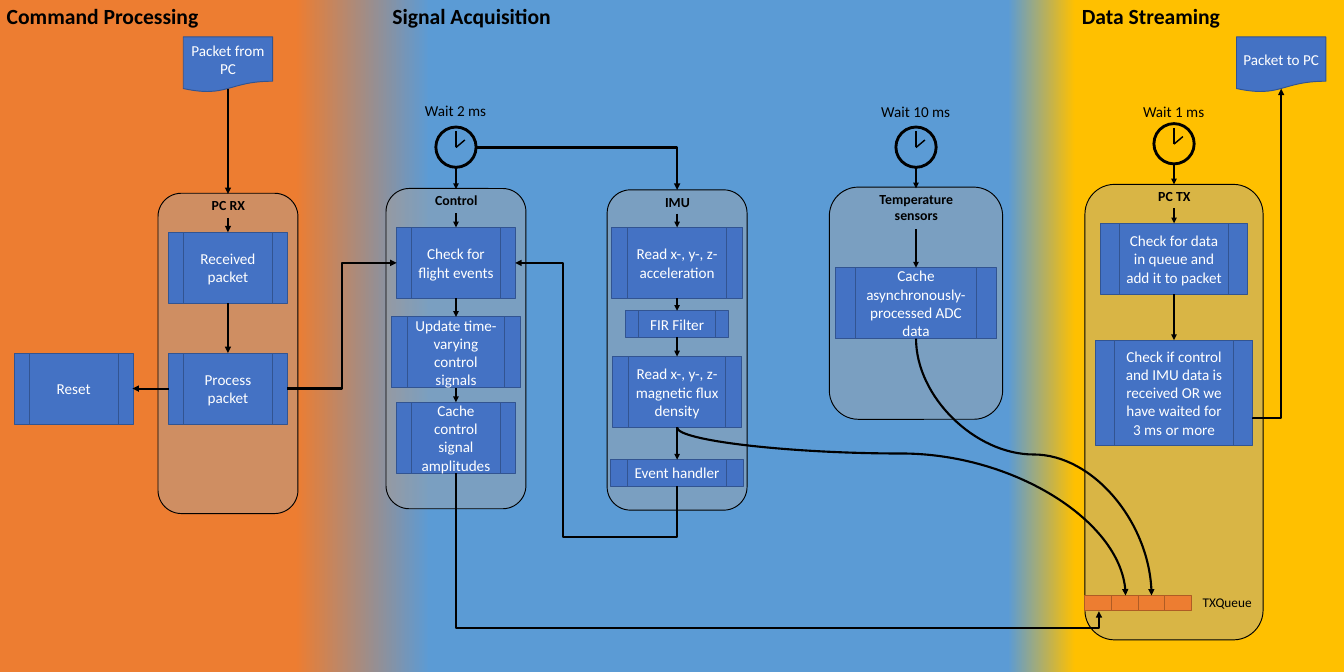
from pptx import Presentation
from pptx.dml.color import RGBColor
from pptx.enum.shapes import MSO_CONNECTOR as LINK, MSO_SHAPE as SHAPE
from pptx.enum.text import MSO_ANCHOR, MSO_AUTO_SIZE, PP_ALIGN
from pptx.oxml.ns import qn
from pptx.util import Inches, Pt
from lxml.etree import SubElement

BLACK = RGBColor(0, 0, 0)
WHITE = RGBColor(0xFF, 0xFF, 0xFF)
GREY = RGBColor(0xA6, 0xA6, 0xA6)
ORANGE = RGBColor(0xED, 0x7D, 0x31)
DARK_ORANGE = RGBColor(0xAF, 0x5C, 0x24)
SKY = RGBColor(0x5B, 0x9B, 0xD5)
GOLD = RGBColor(0xFF, 0xC0, 0x00)
BLUE = RGBColor(0x44, 0x72, 0xC4)
DARK_BLUE = RGBColor(0x32, 0x54, 0x91)

# Text formats
HEADING = {"size": Pt(22.8), "bold": True}
LANE_TITLE = {"size": Pt(14.6), "bold": True}
BODY = {"size": Pt(16), "bold": False}
SMALL = {"size": Pt(14), "bold": False}

# Columns: centre lines of the lanes and outer blocks, in inches
RESET, RX, CONTROL, IMU, TEMP, TX, TO_PC = 1.08, 3.34, 6.68, 9.92, 13.42, 17.2, 18.77

BANDS = [(0, ORANGE), (22, ORANGE), (32, SKY), (75, SKY), (80, GOLD), (100, GOLD)]
HEADINGS = [(0, 3.18, "Command Processing"), (5.65, 2.63, "Signal Acquisition"),
            (15.75, 3.18, "Data Streaming")]
# Centre, top, width, height, title
LANES = [(RX, 2.83, 2.05, 4.69, "PC RX"), (CONTROL, 2.76, 2.05, 4.69, "Control"),
         (IMU, 2.78, 2.05, 4.69, "IMU"), (TEMP, 2.74, 2.54, 3.4, "Temperature\nsensors"),
         (TX, 2.7, 2.61, 6.67, "PC TX")]
# Centre, top, width, height, step
STEPS = [(RX, 3.4, 1.74, 1.04, "Received packet"),
         (RX, 5.17, 1.74, 1.04, "Process packet"),
         (RESET, 5.17, 1.74, 1.04, "Reset"),
         (CONTROL, 3.33, 1.74, 1.04, "Check for flight events"),
         (CONTROL, 4.64, 1.9, 1.04, "Update time-varying control signals"),
         (CONTROL, 5.89, 1.74, 1.04, "Cache control signal amplitudes"),
         (IMU, 3.33, 1.93, 1.04, "Read x-, y-, z-acceleration"),
         (IMU, 4.55, 1.5, 0.39, "FIR Filter"),
         (IMU, 5.22, 1.9, 1.04, "Read x-, y-, z-magnetic flux density"),
         (IMU, 6.73, 1.94, 0.39, "Event handler"),
         (TEMP, 3.92, 2.36, 1.04, "Cache asynchronously-processed ADC data"),
         (TX, 3.27, 2.14, 1.04, "Check for data in queue and add it to packet"),
         (TX, 4.98, 2.31, 1.54,
          "Check if control and IMU data is received OR we have waited for 3 ms or more")]
PACKETS = [(RX, "Packet from PC"), (TO_PC, "Packet to PC")]
# Centre, top of the clock, top of the label, label
TIMERS = [(CONTROL, 1.86, 1.43, "Wait 2 ms"), (TEMP, 1.86, 1.45, "Wait 10 ms"),
          (TX, 1.81, 1.45, "Wait 1 ms")]
# Centre, line weight, (start, end) of each downward arrow
FLOWS = [(RX, 2.25, [(1.3, 2.84), (3.19, 3.4), (4.44, 5.17)]),
         (CONTROL, 2, [(2.46, 2.77), (3.12, 3.33), (4.37, 4.64), (5.68, 5.89)]),
         (IMU, 2, [(3.13, 3.33), (4.37, 4.55), (4.94, 5.22), (6.26, 6.73)]),
         (TEMP, 2, [(2.46, 2.76), (3.36, 3.92)]),
         (TX, 2, [(2.4, 2.7), (3.05, 3.27), (4.31, 4.98)])]
# Start, end, preset, rotation, flips, adjustments
ROUTES = [((6.97, 2.16), (IMU, 2.78), "bentConnector2", 0, "", []),
          ((4.21, 5.69), (5.81, 3.85), "bentConnector3", 0, "V", [50000]),
          ((IMU, 7.12), (7.55, 3.85), "bentConnector4", 90, "H", [-22900, 70300]),
          ((CONTROL, 6.93), (16.1, 8.95), "bentConnector3", 270, "H", [112400]),
          ((18.36, 6.13), (TO_PC, 1.3), "bentConnector3", 90, "HV", [200]),
          ((TEMP, 4.96), (16.87, 8.72), "curvedConnector3", 270, "H", [45100]),
          ((IMU, 6.26), (16.49, 8.72), "curvedConnector3", 270, "H", [15500])]


def write(frame, text, look, color, align):
    frame.text = text
    for paragraph in frame.paragraphs:
        paragraph.alignment = align
        font = paragraph.runs[0].font
        for key, value in {"name": "Calibri", **look}.items():
            setattr(font, key, value)
        font.color.rgb = color


def label(shapes, left, top, width, height, text, look, align=PP_ALIGN.CENTER, wrap=True):
    box = shapes.add_textbox(*map(Inches, (left, top, width, height)))
    box.text_frame.word_wrap = wrap
    box.text_frame.auto_size = MSO_AUTO_SIZE.SHAPE_TO_FIT_TEXT
    write(box.text_frame, text, look, BLACK, align)


def block(shapes, kind, center, top, width, height, fill, edge, weight=1, text=None):
    shape = shapes.add_shape(kind, *map(Inches, (center - width / 2, top, width, height)))
    shape.shadow.inherit = False
    if fill is None:
        shape.fill.background()
    else:
        shape.fill.solid()
        shape.fill.fore_color.rgb = fill
    shape.line.color.rgb = edge
    shape.line.width = Pt(weight)
    if text:
        shape.text_frame.word_wrap = True
        shape.text_frame.vertical_anchor = MSO_ANCHOR.MIDDLE
        write(shape.text_frame, text, BODY, WHITE, PP_ALIGN.CENTER)
    return shape


def line(shapes, start, end, weight, arrow=True, kind=LINK.STRAIGHT):
    link = shapes.add_connector(kind, *map(Inches, (*start, *end)))
    link.line.color.rgb = BLACK
    link.line.width = Pt(weight)
    properties = link._element.spPr
    if arrow:
        SubElement(properties.find(qn("a:ln")), qn("a:tailEnd"), type="triangle")
    SubElement(properties, qn("a:effectLst"))
    return link


def route(shapes, start, end, preset, turn, flips, adjustments):
    link = line(shapes, start, end, 2.25, kind=LINK.ELBOW)
    width, height = (abs(b - a) for a, b in zip(start, end))
    if turn:  # a quarter turn swaps the sides around the same centre
        width, height = height, width
    middle_x, middle_y = ((a + b) / 2 for a, b in zip(start, end))
    frame = {"left": middle_x - width / 2, "top": middle_y - height / 2,
             "width": width, "height": height}
    for key, value in frame.items():
        setattr(link, key, Inches(value))
    transform = link._element.spPr.find(qn("a:xfrm"))
    transform.set("rot", str(turn * 60000))
    for axis in "HV":
        transform.set("flip" + axis, str(int(axis in flips)))
    geometry = link._element.spPr.find(qn("a:prstGeom"))
    geometry.set("prst", preset)
    guides = geometry.find(qn("a:avLst"))
    for number, value in enumerate(adjustments, 1):
        SubElement(guides, qn("a:gd"), name=f"adj{number}", fmla=f"val {value}")


def lane(shapes, center, top, width, height, title):
    panel = block(shapes, SHAPE.ROUNDED_RECTANGLE, center, top, width, height, GREY, BLACK)
    tint = panel._element.spPr.find(qn("a:solidFill")).find(qn("a:srgbClr"))
    SubElement(tint, qn("a:alpha"), val="42000")
    label(shapes, center - 0.7, top, 1.41, 0.35, title, LANE_TITLE)


def timer(shapes, center, top, label_top, text):
    clock = shapes.add_group_shape().shapes
    block(clock, SHAPE.OVAL, center, top, 0.59, 0.59, None, BLACK, 3)
    hub = (center, top + 0.3)
    for tip in ((center, top + 0.06), (center + 0.13, top + 0.19)):
        line(clock, hub, tip, 1.5, arrow=False)
    label(shapes, center - 0.7, label_top, 1.39, 0.37, text, BODY)


def paint_background(slide):
    fill = slide.background.fill
    fill.gradient()
    fill.gradient_angle = 0
    stops = next(slide._element.iter(qn("a:gsLst")))
    for stop in list(stops):
        stops.remove(stop)
    for share, color in BANDS:
        stop = SubElement(stops, qn("a:gs"), pos=str(share * 1000))
        SubElement(stop, qn("a:srgbClr"), val=str(color))


def main():
    deck = Presentation()
    deck.slide_width, deck.slide_height = Inches(19.69), Inches(9.84)
    slide = deck.slides.add_slide(deck.slide_layouts[6])
    shapes = slide.shapes
    paint_background(slide)

    # Section headings and lanes
    for left, width, text in HEADINGS:
        label(shapes, left, 0, width, 0.48, text, HEADING, PP_ALIGN.LEFT)
    for entry in LANES:
        lane(shapes, *entry)

    # Timers, packets and steps
    for entry in TIMERS:
        timer(shapes, *entry)
    for center, text in PACKETS:
        block(shapes, SHAPE.FLOWCHART_DOCUMENT, center, 0.54, 1.31, 0.81,
              BLUE, DARK_BLUE, text=text)
    for *place, text in STEPS:
        block(shapes, SHAPE.FLOWCHART_PREDEFINED_PROCESS, *place, BLUE, DARK_BLUE, text=text)

    # Transmit queue
    for cell in range(4):
        block(shapes, SHAPE.RECTANGLE, 16.09 + 0.39 * cell, 8.72, 0.39, 0.22,
              ORANGE, DARK_ORANGE)
    label(shapes, 17.52, 8.65, 0.93, 0.34, "TXQueue", SMALL, PP_ALIGN.LEFT, wrap=False)

    # Arrows
    for center, weight, spans in FLOWS:
        for top, bottom in spans:
            line(shapes, (center, top), (center, bottom), weight)
    line(shapes, (2.47, 5.69), (1.94, 5.69), 2.25)
    for entry in ROUTES:
        route(shapes, *entry)

    deck.save("out.pptx")


main()
